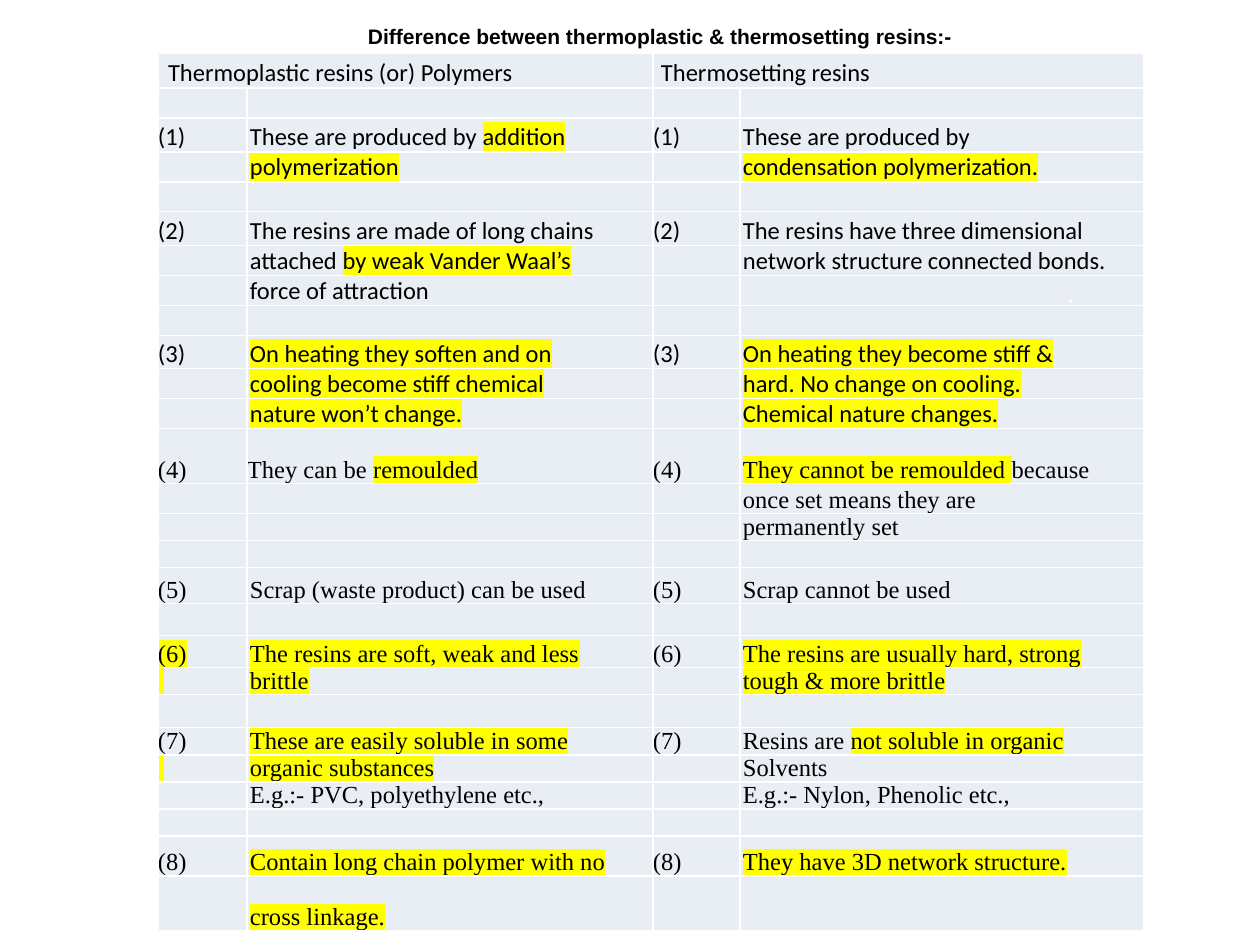
from dataclasses import dataclass

from lxml import etree
from pptx import Presentation
from pptx.dml.color import RGBColor
from pptx.enum.shapes import MSO_SHAPE
from pptx.enum.text import MSO_ANCHOR, PP_ALIGN
from pptx.oxml.ns import qn
from pptx.util import Emu, Pt

RECTANGLE = MSO_SHAPE.RECTANGLE
TOP, BOTTOM = MSO_ANCHOR.TOP, MSO_ANCHOR.BOTTOM
LEFT, JUSTIFY = PP_ALIGN.LEFT, PP_ALIGN.JUSTIFY

PX_PER_INCH = 126
SLIDE_WIDTH, SLIDE_HEIGHT = 1260, 945
TITLE_ONLY_LAYOUT = 5
SANS, SERIF = "Calibri", "Times New Roman"
BODY_SIZE, EMPTY_SIZE = 14, 10
COLOURS = {
    "text": "000000",
    "cell": "E9EDF4",
    "border": "FFFFFF",
    "highlight": "FFFF00",
}

TABLE_LEFT, TABLE_TOP = 158, 53
COLUMN_WIDTHS = (89, 406, 87, 404)
HEADER_HEIGHT = 35
HEADERS = (("Thermoplastic resins (or) Polymers", 10), ("Thermosetting resins", 8))


@dataclass(frozen=True)
class TableLine:
    """One table row; text between bars is highlighted."""
    height: int
    left: str = ""
    right: str = ""
    left_number: str = ""
    right_number: str = ""
    font: str = SERIF
    left_indent: int = 3


def first_line(number: int, height: int, left: str, right: str, font: str = SERIF,
               marked: bool = False, left_indent: int = 3) -> TableLine:
    label = f"({number})"
    left_label = f"|{label}|" if marked else label
    return TableLine(height, left, right, left_label, label, font, left_indent)


LINES = (
    TableLine(30),
    first_line(1, 34, "These are produced by |addition|", "These are produced by", SANS),
    TableLine(29, "|polymerization|", "|condensation polymerization.|", font=SANS),
    TableLine(30),
    first_line(2, 34, "The resins are made of long chains",
               "The resins have three dimensional", SANS),
    TableLine(30, "attached |by weak Vander Waal’s|",
              "network structure connected bonds.", font=SANS),
    TableLine(30, "force of attraction", font=SANS),
    TableLine(30),
    first_line(3, 33, "|On heating they soften and on|",
               "|On heating they become stiff &|", SANS),
    TableLine(30, "|cooling become stiff chemical|", "|hard. No change on cooling.|", font=SANS),
    TableLine(30, "|nature won’t change.|", "|Chemical nature changes.|", font=SANS),
    first_line(4, 55, "They can be |remoulded|", "|They cannot be remoulded |because",
               left_indent=0),
    TableLine(30, right="once set means they are"),
    TableLine(27, right="permanently set"),
    TableLine(27),
    first_line(5, 36, "Scrap (waste product) can be used", "Scrap cannot be used"),
    TableLine(32),
    first_line(6, 32, "|The resins are soft, weak and less|",
               "|The resins are usually hard, strong|", marked=True),
    TableLine(26, "|brittle|", "|tough & more brittle|", left_number="| |"),
    TableLine(33),
    first_line(7, 27, "|These are easily soluble in some|",
               "Resins are |not soluble in organic|"),
    TableLine(27, "|organic substances|", "Solvents", left_number="| |"),
    TableLine(27, "E.g.:- PVC, polyethylene etc.,", "E.g.:- Nylon, Phenolic etc.,"),
    TableLine(27),
    first_line(8, 40, "|Contain long chain polymer with no|",
               "|They have 3D network structure.|"),
    TableLine(55, "|cross linkage.|"),
)


def px(length: int) -> Emu:
    return Emu(round(length * 914400 / PX_PER_INCH))


def colour(name: str) -> RGBColor:
    return RGBColor.from_string(COLOURS[name])


def format_run(run, font: str, size: int, bold: bool = False) -> None:
    run.font.name = font
    run.font.size = Pt(size)
    run.font.bold = bold
    run.font.color.rgb = colour("text")


def highlight(run) -> None:
    """Put the highlight ahead of the typeface, as the schema orders them."""
    mark = etree.Element(qn("a:highlight"))
    etree.SubElement(mark, qn("a:srgbClr"), val=COLOURS["highlight"])
    run._r.get_or_add_rPr().find(qn("a:latin")).addprevious(mark)


def format_cell(cell) -> None:
    cell.fill.solid()
    cell.fill.fore_color.rgb = colour("cell")
    cell.vertical_anchor = BOTTOM
    cell.margin_left = cell.margin_right = cell.margin_top = cell.margin_bottom = 0
    properties = cell._tc.get_or_add_tcPr()
    for position, side in enumerate(("lnL", "lnR", "lnT", "lnB")):
        border = etree.Element(qn(f"a:{side}"), w=str(Pt(1)))
        fill = etree.SubElement(border, qn("a:solidFill"))
        etree.SubElement(fill, qn("a:srgbClr"), val=COLOURS["border"])
        properties.insert(position, border)


def write_cell(cell, text: str, font: str, indent: int = 0) -> None:
    format_cell(cell)
    paragraph = cell.text_frame.paragraphs[0]
    if not text:
        etree.SubElement(paragraph._p, qn("a:endParaRPr"), sz=str(EMPTY_SIZE * 100))
        return
    paragraph.alignment = JUSTIFY
    paragraph._p.get_or_add_pPr().set("marL", str(px(indent)))
    for index, part in enumerate(text.split("|")):
        if part:
            run = paragraph.add_run()
            run.text = part
            format_run(run, font, BODY_SIZE)
            if index % 2:
                highlight(run)


def add_comparison(slide) -> None:
    heights = [HEADER_HEIGHT] + [line.height for line in LINES]
    table = slide.shapes.add_table(
        len(heights), len(COLUMN_WIDTHS), px(TABLE_LEFT), px(TABLE_TOP),
        px(sum(COLUMN_WIDTHS)), px(sum(heights))).table
    table.first_row = table.horz_banding = False
    for column, width in zip(table.columns, COLUMN_WIDTHS):
        column.width = px(width)
    for row, height in zip(table.rows, heights):
        row.height = px(height)

    for side, (heading, indent) in enumerate(HEADERS):
        start, end = table.cell(0, 2 * side), table.cell(0, 2 * side + 1)
        write_cell(start, heading, SANS, indent)
        write_cell(end, "", SANS)
        start.merge(end)

    for row_index, line in enumerate(LINES, start=1):
        entries = ((line.left_number, 0), (line.left, line.left_indent),
                   (line.right_number, 0), (line.right, 3))
        for column_index, (text, indent) in enumerate(entries):
            write_cell(table.cell(row_index, column_index), text, line.font, indent)


def set_title(slide) -> None:
    title = slide.shapes.title
    title.left, title.top, title.width, title.height = px(242), px(0), px(1018), px(63)
    frame = title.text_frame
    frame.text = "Difference between thermoplastic & thermosetting resins:-"
    frame.word_wrap = True
    frame.vertical_anchor = TOP
    frame.margin_left, frame.margin_top = px(126), px(24)
    frame.margin_right = frame.margin_bottom = 0
    heading = frame.paragraphs[0]
    heading.alignment = LEFT
    format_run(heading.runs[0], "Arial", 12, bold=True)


def add_dot(slide) -> None:
    dot = slide.shapes.add_shape(RECTANGLE, px(1070), px(301), px(1), px(1))
    dot.shadow.inherit = False
    dot.fill.solid()
    dot.fill.fore_color.rgb = colour("text")
    dot.line.color.rgb = colour("border")
    dot.line.width = Pt(0.75)


def main() -> None:
    presentation = Presentation()
    presentation.slide_width, presentation.slide_height = px(SLIDE_WIDTH), px(SLIDE_HEIGHT)
    slide = presentation.slides.add_slide(presentation.slide_layouts[TITLE_ONLY_LAYOUT])
    set_title(slide)
    add_comparison(slide)
    add_dot(slide)
    presentation.save("out.pptx")


if __name__ == "__main__":
    main()
